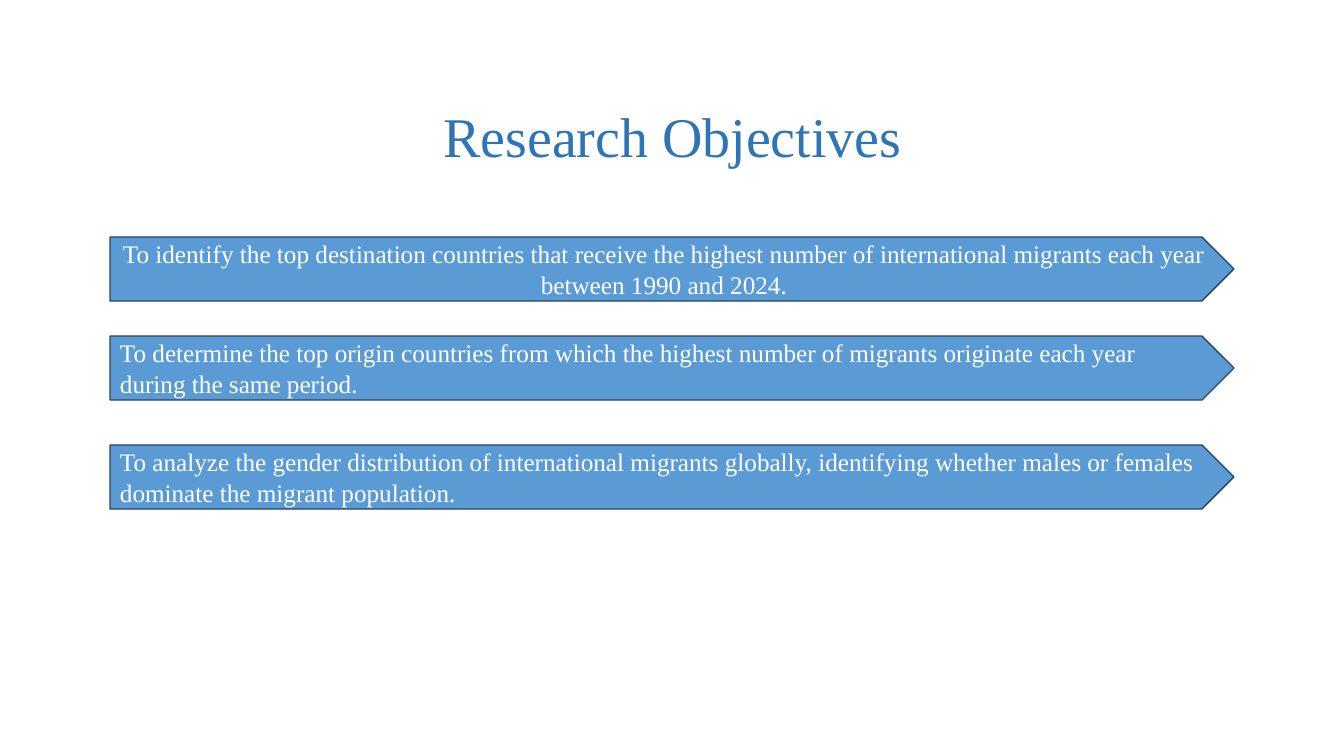
from pptx import Presentation
from pptx.dml.color import RGBColor
from pptx.enum.shapes import MSO_SHAPE
from pptx.enum.text import MSO_ANCHOR, MSO_AUTO_SIZE, PP_ALIGN
from pptx.util import Pt

PENTAGON = MSO_SHAPE.PENTAGON
MIDDLE = MSO_ANCHOR.MIDDLE
NO_AUTOFIT = MSO_AUTO_SIZE.NONE
LEFT, CENTER = PP_ALIGN.LEFT, PP_ALIGN.CENTER

FONT = "Times New Roman"
TITLE_BLUE = RGBColor(0x2E, 0x75, 0xB6)
ARROW_BLUE = RGBColor(0x5B, 0x9B, 0xD5)
OUTLINE_BLUE = RGBColor(0x28, 0x44, 0x5D)
WHITE = RGBColor(0xFF, 0xFF, 0xFF)

EMU_PER_PX = 914400 / 100.8
TITLE_ONLY_LAYOUT = 5

# Top edge, alignment and wording of each objective
OBJECTIVES = [
    (237, CENTER, "To identify the top destination countries that receive the highest "
                  "number of international migrants each year between 1990 and 2024."),
    (336, LEFT, "To determine the top origin countries from which the highest number "
                "of migrants originate each year during the same period."),
    (445, LEFT, "To analyze the gender distribution of international migrants globally, "
                "identifying whether males or females dominate the migrant population."),
]


def px(length):
    return round(length * EMU_PER_PX)


def write_text(box, text, size, color, align):
    frame = box.text_frame
    frame.word_wrap = True
    frame.auto_size = NO_AUTOFIT
    frame.vertical_anchor = MIDDLE
    para = frame.paragraphs[0]
    para.alignment = align
    span = para.add_run()
    span.text = text
    span.font.name = FONT
    span.font.size = Pt(size)
    span.font.color.rgb = color
    return para


def set_title(page, text):
    title = page.shapes.title
    title.left, title.top = px(93), px(82)
    title.width, title.height = px(1159), px(114)
    para = write_text(title, text, 40, TITLE_BLUE, CENTER)
    para.line_spacing = 0.9


def add_objective(page, top, align, text):
    arrow = page.shapes.add_shape(PENTAGON, px(110), px(top), px(1124), px(64))
    arrow.shadow.inherit = False
    arrow.fill.solid()
    arrow.fill.fore_color.rgb = ARROW_BLUE
    arrow.line.color.rgb = OUTLINE_BLUE
    arrow.line.width = Pt(1)
    write_text(arrow, text, 18, WHITE, align)


def main():
    # Page
    deck = Presentation()
    deck.slide_width, deck.slide_height = px(1344), px(756)
    page = deck.slides.add_slide(deck.slide_layouts[TITLE_ONLY_LAYOUT])

    # Title and objectives
    set_title(page, "Research Objectives")
    for top, align, text in OBJECTIVES:
        add_objective(page, top, align, text)

    deck.save("out.pptx")


if __name__ == "__main__":
    main()
